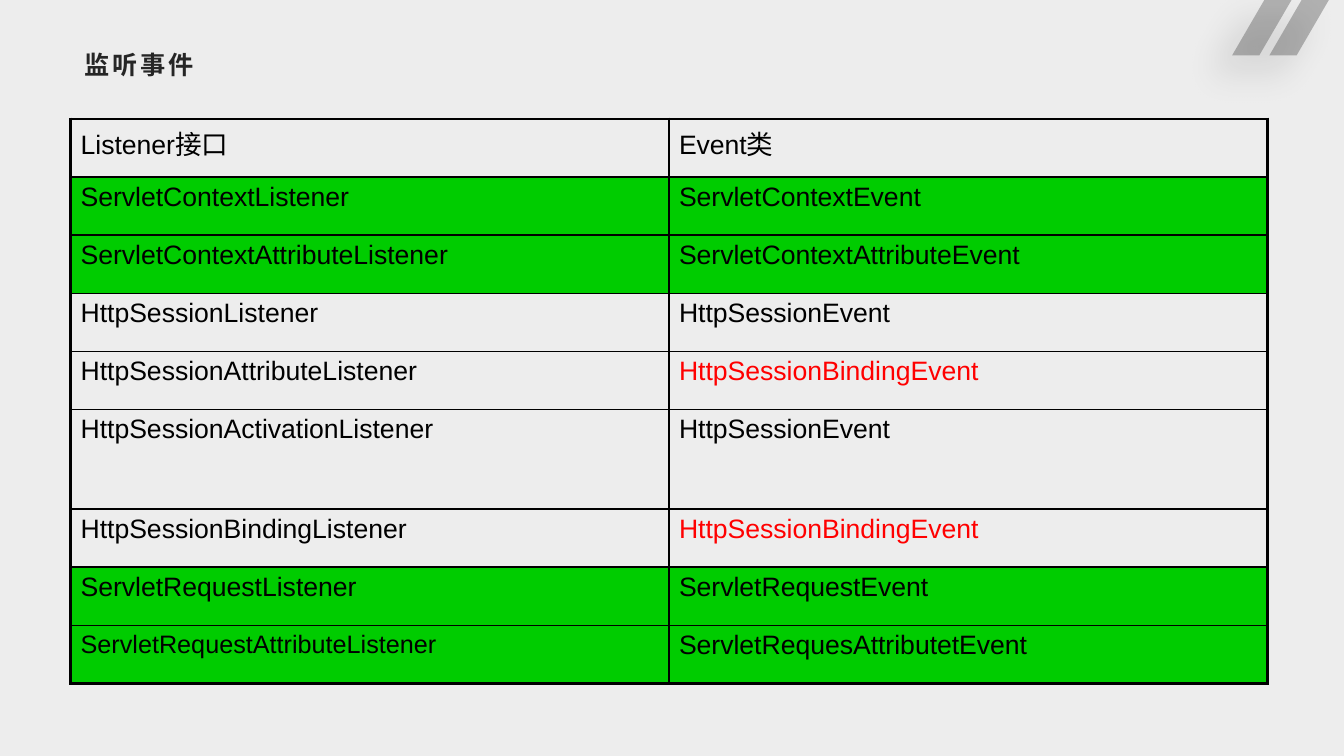
import pptx
import pptx.util
import pptx.dml.color
import pptx.enum.text
import pptx.oxml
import pptx.oxml.ns

Inches, Pt = pptx.util.Inches, pptx.util.Pt
RGBColor = pptx.dml.color.RGBColor
qn = pptx.oxml.ns.qn

BACKGROUND = RGBColor(0xED, 0xED, 0xED)
DARK = RGBColor(0x26, 0x26, 0x26)
BLACK = RGBColor(0, 0, 0)
GREEN = RGBColor(0, 0xCC, 0)
RED = RGBColor(0xFF, 0, 0)
LATIN, CJK = "Arial", "Noto Sans CJK SC"
NS = 'xmlns:a="http://schemas.openxmlformats.org/drawingml/2006/main"'

TITLE = "监听事件"
ROWS = [
    ("Listener接口", "Event类"),
    ("ServletContextListener", "ServletContextEvent"),
    ("ServletContextAttributeListener", "ServletContextAttributeEvent"),
    ("HttpSessionListener", "HttpSessionEvent"),
    ("HttpSessionAttributeListener", "HttpSessionBindingEvent"),
    ("HttpSessionActivationListener", "HttpSessionEvent"),
    ("HttpSessionBindingListener", "HttpSessionBindingEvent"),
    ("ServletRequestListener", "ServletRequestEvent"),
    ("ServletRequestAttributeListener", "ServletRequesAttributetEvent"),
]
TALL_ROW, TALL_HEIGHT = 5, 0.99
SMALL_TEXT = "ServletRequestAttributeListener"
RED_TEXT = "HttpSessionBindingEvent"

SLIDE_W, SLIDE_H = 13.33, 7.5
LEFT, TOP, WIDTH, HEIGHT = 0.7, 1.18, 11.87, 5.6
THICK, THIN = 2.25, 1
STRIPE_LEFTS = (12.59, 12.22)
STRIPE_W, STRIPE_SLANT, STRIPE_H = 0.27, 0.32, 0.55


def write(tf, text, size, color, font=LATIN, bold=False, spacing=None):
    p = tf.paragraphs[0]
    p.alignment = pptx.enum.text.PP_ALIGN.LEFT
    r = p.add_run()
    r.text = text
    r.font.size, r.font.name, r.font.bold = Pt(size), font, bold
    r.font.color.rgb = color
    rPr = r.font._element
    rPr.append(pptx.oxml.parse_xml(f'<a:ea {NS} typeface="{CJK}"/>'))
    if spacing:
        rPr.set("spc", str(spacing * 100))
    return p


def set_borders(cell, **widths):
    """Draw black cell borders; keys L, R, T, B give widths in points."""
    tcPr = cell._tc.get_or_add_tcPr()
    for i, (side, width) in enumerate(widths.items()):
        tcPr.insert(i, pptx.oxml.parse_xml(
            f'<a:ln{side} {NS} w="{Pt(width)}"><a:solidFill>'
            f'<a:srgbClr val="{BLACK}"/></a:solidFill></a:ln{side}>'))


def add_stripes(s):
    builder = None
    for left in STRIPE_LEFTS:
        x, y = Inches(left), Inches(STRIPE_H)
        w, slant = Inches(STRIPE_W), Inches(STRIPE_SLANT)
        if builder is None:
            builder = s.shapes.build_freeform(x + slant, 0)
        else:
            builder.move_to(x + slant, 0)
        builder.add_line_segments([(x + slant + w, 0), (x + w, y), (x, y)])
    sp = builder.convert_to_shape()
    sp.fill.solid()
    sp.fill.fore_color.rgb = DARK
    sp.line.fill.background()
    spPr = sp._element.spPr
    spPr.find(qn("a:solidFill"))[0].append(
        pptx.oxml.parse_xml(f'<a:alpha {NS} val="30000"/>'))
    spPr.append(pptx.oxml.parse_xml(
        f'<a:effectLst {NS}><a:outerShdw blurRad="{Pt(26)}" dist="{Pt(19)}" '
        f'dir="{135 * 60000}" algn="tr" rotWithShape="0">'
        f'<a:srgbClr val="{BLACK}"><a:alpha val="40000"/></a:srgbClr>'
        '</a:outerShdw></a:effectLst>'))


def add_title(s):
    sp = s.shapes.title
    sp.left, sp.top = Inches(0.73), Inches(0.48)
    sp.width, sp.height = Inches(WIDTH), Inches(0.48)
    tf = sp.text_frame
    tf.margin_left, tf.margin_right = Inches(0.11), Inches(0.08)
    tf.margin_top = tf.margin_bottom = Inches(0.04)
    tf.vertical_anchor = pptx.enum.text.MSO_ANCHOR.TOP
    tf.auto_size = pptx.enum.text.MSO_AUTO_SIZE.NONE
    p = write(tf, TITLE, 18, DARK, font=CJK, bold=True, spacing=2)
    p.line_spacing = 0.9


def add_listener_table(s):
    n_rows, n_cols = len(ROWS), len(ROWS[0])
    table = s.shapes.add_table(n_rows, n_cols, Inches(LEFT), Inches(TOP),
                               Inches(WIDTH), Inches(HEIGHT)).table
    table.first_row = table.horz_banding = False
    row_height = (HEIGHT - TALL_HEIGHT) / (n_rows - 1)
    for i, texts in enumerate(ROWS):
        table.rows[i].height = Inches(TALL_HEIGHT if i == TALL_ROW else row_height)
        for j, text in enumerate(texts):
            cell = table.cell(i, j)
            if text.startswith("Servlet"):
                cell.fill.solid()
                cell.fill.fore_color.rgb = GREEN
            else:
                cell.fill.background()
            set_borders(cell,
                        L=THICK if j == 0 else THIN,
                        R=THICK if j == n_cols - 1 else THIN,
                        T=THICK if i == 0 else THIN,
                        B=THICK if i == n_rows - 1 else THIN)
            write(cell.text_frame, text, 18 if text == SMALL_TEXT else 19,
                  RED if text == RED_TEXT else BLACK)


def main():
    prs = pptx.Presentation()
    prs.slide_width, prs.slide_height = Inches(SLIDE_W), Inches(SLIDE_H)
    s = prs.slides.add_slide(prs.slide_layouts[5])
    s.background.fill.solid()
    s.background.fill.fore_color.rgb = BACKGROUND
    add_stripes(s)
    add_title(s)
    add_listener_table(s)
    prs.save("out.pptx")


if __name__ == "__main__":
    main()
